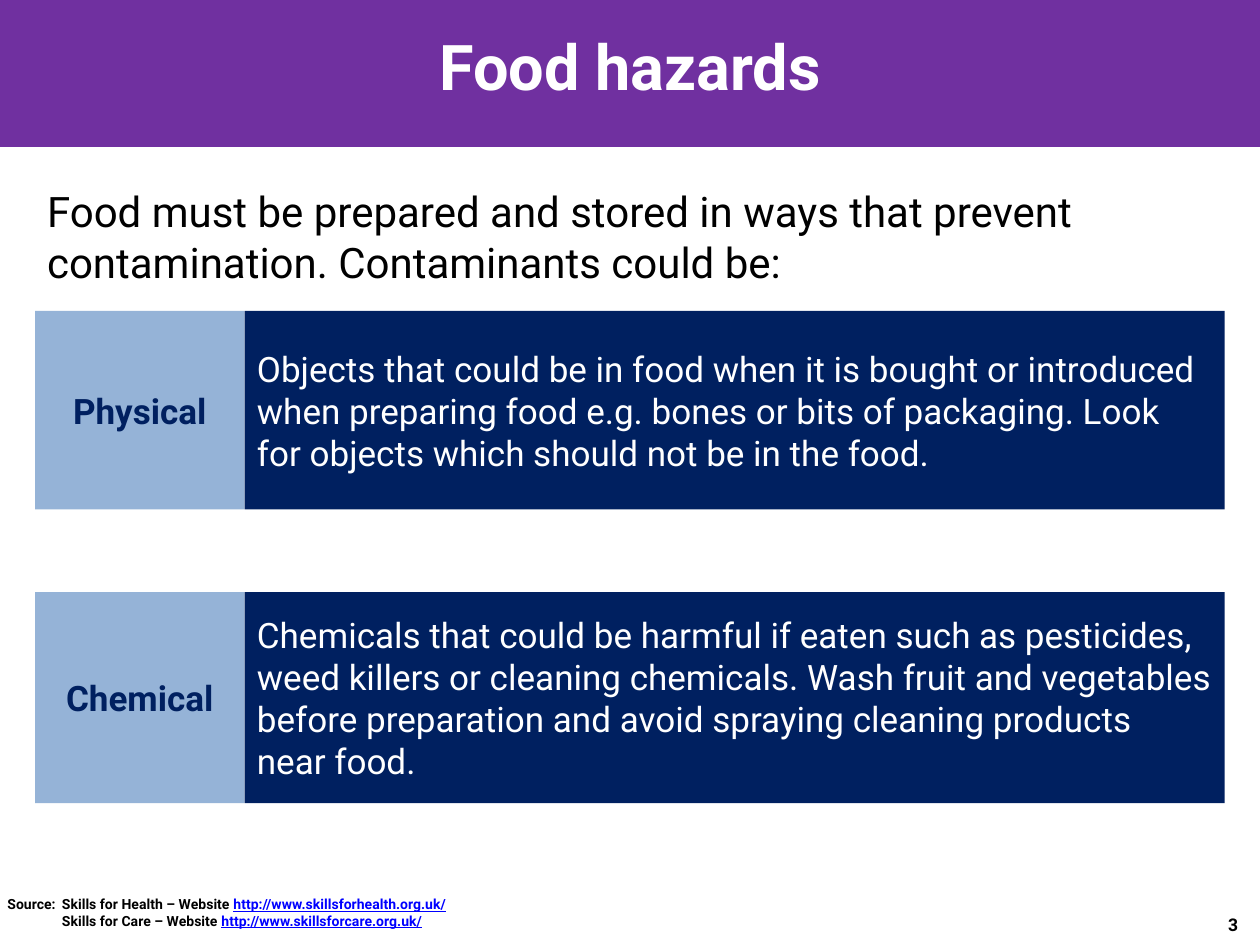
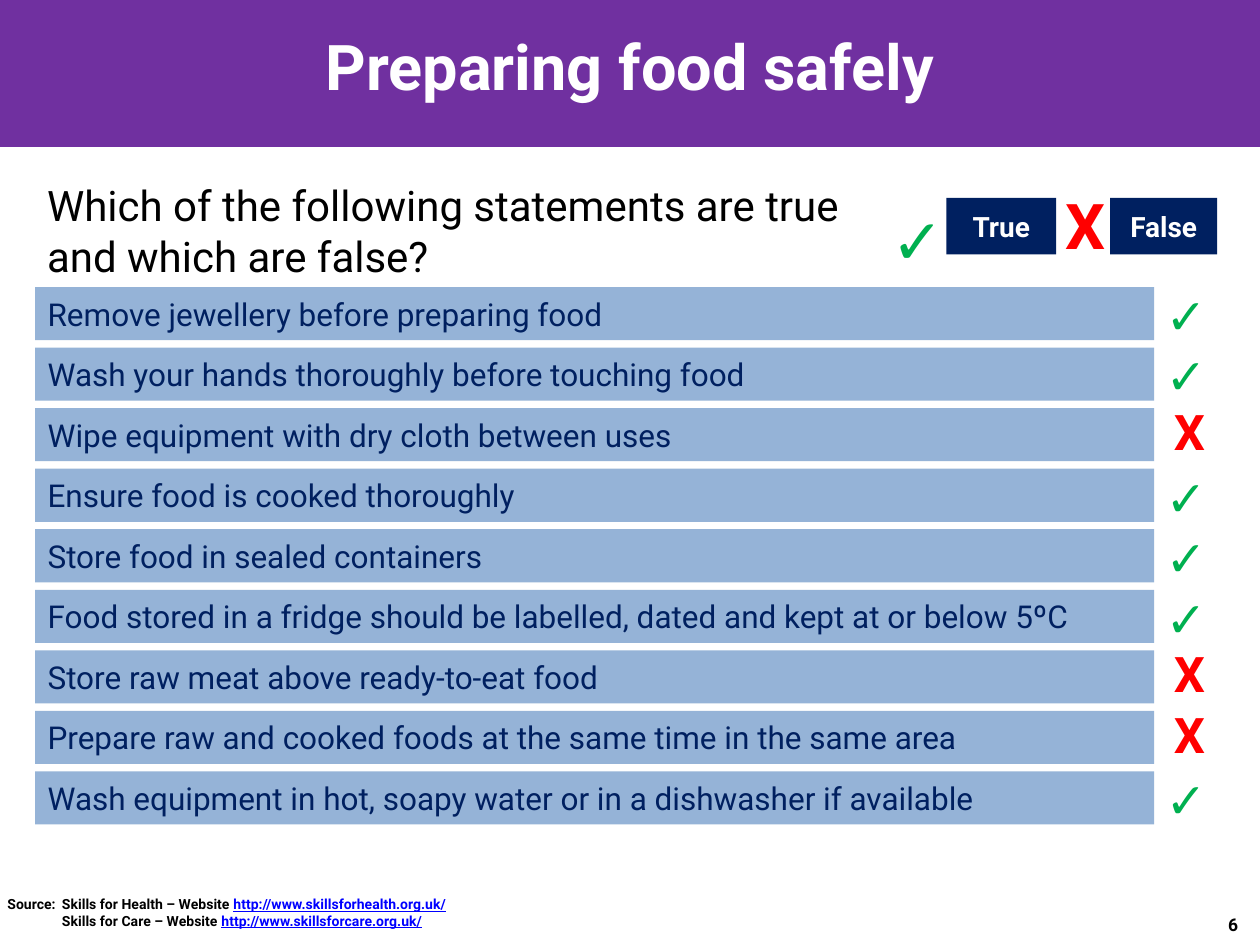
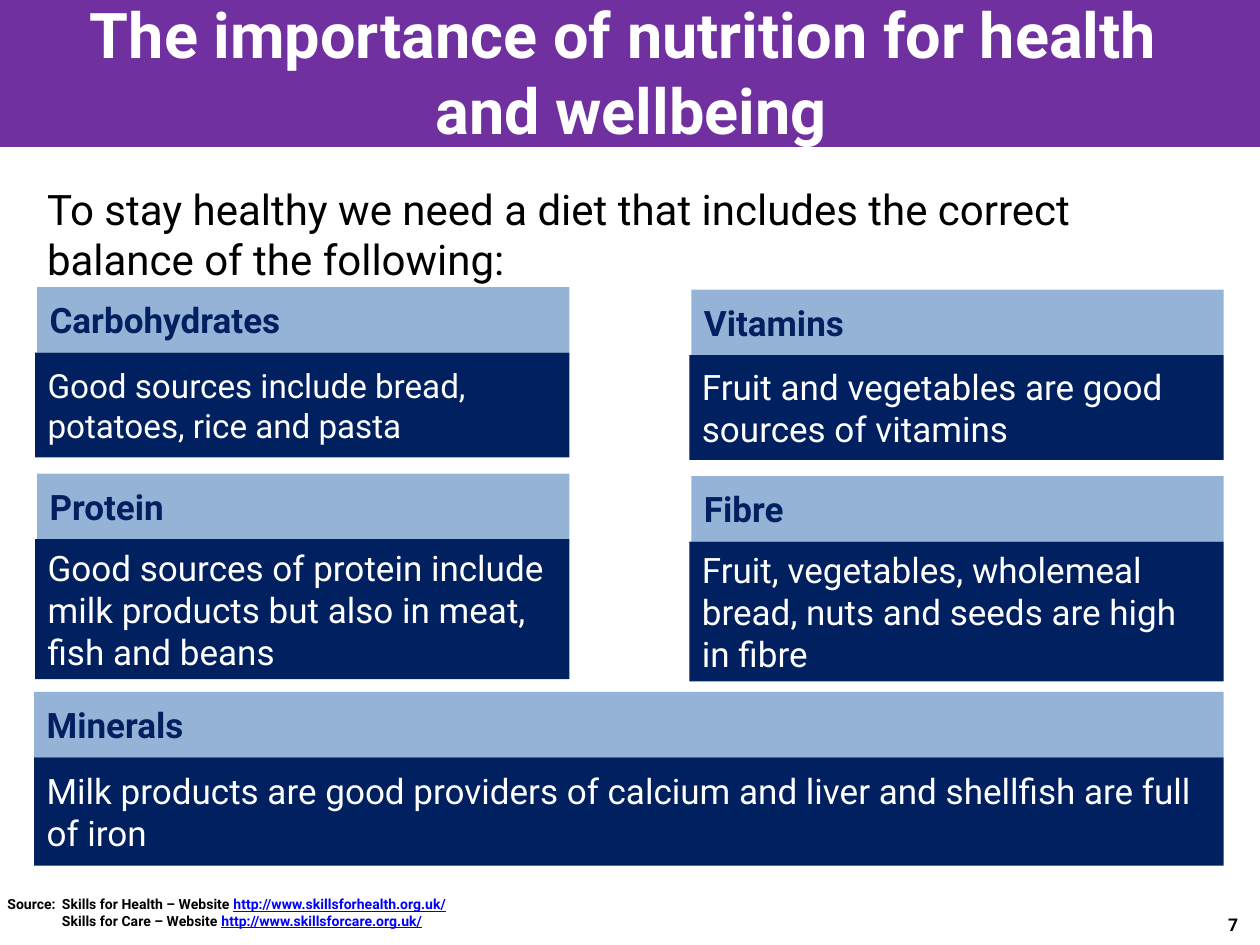
"""Build three food safety and nutrition training slides."""
from dataclasses import dataclass

from pptx import Presentation, util as u
from pptx.dml.color import RGBColor
from pptx.enum import shapes, text


@dataclass(frozen=True)
class Theme:
    """Colours, font and type sizes shared by the slides."""
    font: str = "Roboto"
    purple: str = "7030A0"
    navy: str = "002060"
    sky: str = "95B3D7"
    white: str = "FFFFFF"
    black: str = "000000"
    link: str = "0000FF"
    green: str = "00B050"
    red: str = "FF0000"
    title: float = 36
    intro: float = 24
    block: float = 20
    statement: float = 18
    legend: float = 16
    mark: float = 28
    number: float = 10
    source: float = 8


SOURCES = [
    ("Source:\tSkills for Health – Website ", "http://www.skillsforhealth.org.uk/"),
    ("Skills for Care – Website ", "http://www.skillsforcare.org.uk/"),
]


class Deck:
    """Hold the theme and the current slide, and draw each kind of element."""

    def __init__(self, theme):
        """Start an empty 4:3 presentation."""
        self.theme = theme
        self.presentation = Presentation()
        self.presentation.slide_width = u.Cm(25.4)
        self.presentation.slide_height = u.Cm(19.05)
        self.slide = None

    def add_slide(self, title, number, title_box=(0, -0.28, 25.4, 3.18)):
        """Add a slide with its band, title, sources and number."""
        theme = self.theme
        self.slide = self.presentation.slides.add_slide(self.presentation.slide_layouts[6])
        band = self.block("", (0, 0, 25.4, 2.92), theme.purple, theme.white)
        band.line.color.rgb = RGBColor.from_string(theme.purple)
        band.line.width = u.Pt(2)
        heading = self.text(title, title_box, theme.title, theme.white, bold=True, centred=True)
        heading.text_frame.vertical_anchor = text.MSO_ANCHOR.MIDDLE
        self.sources()
        self.text(str(number), (24.51, 18.31, 0.81, 0.69), theme.number, theme.black, bold=True)

    def style(self, font, size, color, bold=False):
        """Apply the theme font with a size and a colour."""
        font.name = self.theme.font
        font.size = u.Pt(size)
        font.bold = bold
        font.color.rgb = RGBColor.from_string(color)

    def fill_text(self, shape, words, size, color, bold, centred):
        """Set and format the text of a shape."""
        frame = shape.text_frame
        frame.word_wrap = True
        paragraph = frame.paragraphs[0]
        paragraph.text = words
        paragraph.alignment = text.PP_ALIGN.CENTER if centred else text.PP_ALIGN.LEFT
        for run in paragraph.runs:
            self.style(run.font, size, color, bold)

    def text(self, words, box, size, color, bold=False, centred=False):
        """Add a text box."""
        shape = self.slide.shapes.add_textbox(*map(u.Cm, box))
        self.fill_text(shape, words, size, color, bold, centred)
        return shape

    def block(self, words, box, fill, color, size=None, bold=False, centred=False):
        """Add a filled rectangle with text."""
        shape = self.slide.shapes.add_shape(shapes.MSO_SHAPE.RECTANGLE, *map(u.Cm, box))
        shape.shadow.inherit = False
        shape.fill.solid()
        shape.fill.fore_color.rgb = RGBColor.from_string(fill)
        shape.line.fill.background()
        shape.text_frame.vertical_anchor = text.MSO_ANCHOR.MIDDLE
        self.fill_text(shape, words, size or self.theme.block, color, bold, centred)
        return shape

    def label(self, words, box, centred=False):
        """Add a light block with a bold heading."""
        self.block(words, box, self.theme.sky, self.theme.navy, bold=True, centred=centred)

    def detail(self, words, box, **options):
        """Add a dark block with white text."""
        self.block(words, box, self.theme.navy, self.theme.white, **options)

    def intro(self, words, top):
        """Add the opening sentence."""
        self.text(words, (0.7, top, 24.05, 2.2), self.theme.intro, self.theme.black)

    def hazard(self, name, description, top, height):
        """Add a hazard name beside its description."""
        self.label(name, (0.71, top, 4.22, height), centred=True)
        self.detail(description, (4.93, top, 19.76, height))

    def mark(self, is_true, center, top, size):
        """Add a green tick or a red cross."""
        symbol, color = ("✓", self.theme.green) if is_true else ("X", self.theme.red)
        box = (center - 0.75, top, 1.5, 1.45)
        self.text(symbol, box, size, color, bold=True, centred=True)

    def statement(self, words, is_true, top):
        """Add a statement with its answer."""
        theme = self.theme
        self.block(words, (0.71, top, 22.56, 1.07), theme.sky, theme.navy, theme.statement)
        center, rise = (23.91, 0.16) if is_true else (23.98, 0.26)
        self.mark(is_true, center, top - rise, theme.mark)

    def nutrient(self, name, description, box, inset=0.04, size=None):
        """Add a nutrient heading above its sources."""
        left, top, width, height = box
        self.label(name, (left + inset, top, width - inset, 1.32))
        self.detail(description, (left, top + 1.32, width, height), size=size)

    def sources(self):
        """Add the source lines with a hanging indent."""
        theme = self.theme
        frame = self.slide.shapes.add_textbox(*map(u.Cm, (-0.1, 17.93, 10.92, 0.99))).text_frame
        frame.word_wrap = True
        indent = u.Cm(1.1)
        for index, (words, address) in enumerate(SOURCES):
            paragraph = frame.add_paragraph() if index else frame.paragraphs[0]
            properties = paragraph._p.get_or_add_pPr()
            properties.set("marL", str(indent))
            properties.set("indent", str(0 if index else -indent))
            for content, color in ((words, theme.black), (address, theme.link)):
                run = paragraph.add_run()
                run.text = content
                self.style(run.font, theme.source, color, bold=True)
                run.font.underline = content == address


def food_hazards(deck):
    """Build the slide on contaminants."""
    deck.add_slide("Food hazards", 3)
    deck.intro("Food must be prepared and stored in ways that prevent contamination. "
               "Contaminants could be:", 3.62)
    deck.hazard("Physical", "Objects that could be in food when it is bought or introduced when "
                "preparing food e.g. bones or bits of packaging. Look for objects which should "
                "not be in the food.", 6.27, 4)
    deck.hazard("Chemical", "Chemicals that could be harmful if eaten such as pesticides, weed "
                "killers or cleaning chemicals. Wash fruit and vegetables before preparation and "
                "avoid spraying cleaning products \vnear food.", 11.94, 4.25)


def preparing_food(deck):
    """Build the true or false slide."""
    theme = deck.theme
    statements = [
        ("Remove jewellery before preparing food", True),
        ("Wash your hands thoroughly before touching food", True),
        ("Wipe equipment with dry cloth between uses", False),
        ("Ensure food is cooked thoroughly", True),
        ("Store food in sealed containers", True),
        ("Food stored in a fridge should be labelled, dated and kept at or below 5ºC", True),
        ("Store raw meat above ready-to-eat food", False),
        ("Prepare raw and cooked foods at the same time in the same area", False),
        ("Wash equipment in hot, soapy water or in a dishwasher if available", True),
    ]
    deck.add_slide("Preparing food safely", 6)
    deck.intro("Which of the following statements are true \vand which are false?", 3.5)
    for index, (words, is_true) in enumerate(statements):
        deck.statement(words, is_true, 5.79 + 1.22 * index)
    for words, left, width in (("True", 19.08, 2.21), ("False", 22.38, 2.16)):
        deck.detail(words, (left, 3.99, width, 1.14), size=theme.legend, bold=True, centred=True)
    deck.mark(True, 18.47, 3.94, theme.title)
    deck.mark(False, 21.89, 3.63, theme.title)


def nutrition(deck):
    """Build the slide on nutrients."""
    deck.add_slide("The importance of nutrition for health \vand wellbeing", 7,
                   (0.71, 0.15, 24.03, 2.57))
    deck.intro("To stay healthy we need a diet that includes the correct balance of the "
               "following:", 3.57)
    left, right, width = 0.71, 13.9, 10.77
    deck.nutrient("Carbohydrates", "Good sources include bread, potatoes, rice and pasta",
                  (left, 5.79, width, 2.11), size=19)
    deck.nutrient("Vitamins", "Fruit and vegetables are good sources of vitamins",
                  (right, 5.84, width, 2.11))
    deck.nutrient("Protein", "Good sources of protein include milk products but also in meat, "
                  "fish and beans", (left, 9.55, width, 2.82))
    deck.nutrient("Fibre", "Fruit, vegetables, wholemeal bread, nuts and seeds are high in fibre",
                  (right, 9.6, width, 2.82))
    deck.nutrient("Minerals", "Milk products are good providers of calcium and liver and "
                  "shellfish are full of iron", (0.69, 13.95, 23.98, 2.18), inset=0)


def main():
    """Build and save the presentation."""
    deck = Deck(Theme())
    food_hazards(deck)
    preparing_food(deck)
    nutrition(deck)
    deck.presentation.save("out.pptx")


if __name__ == "__main__":
    main()
